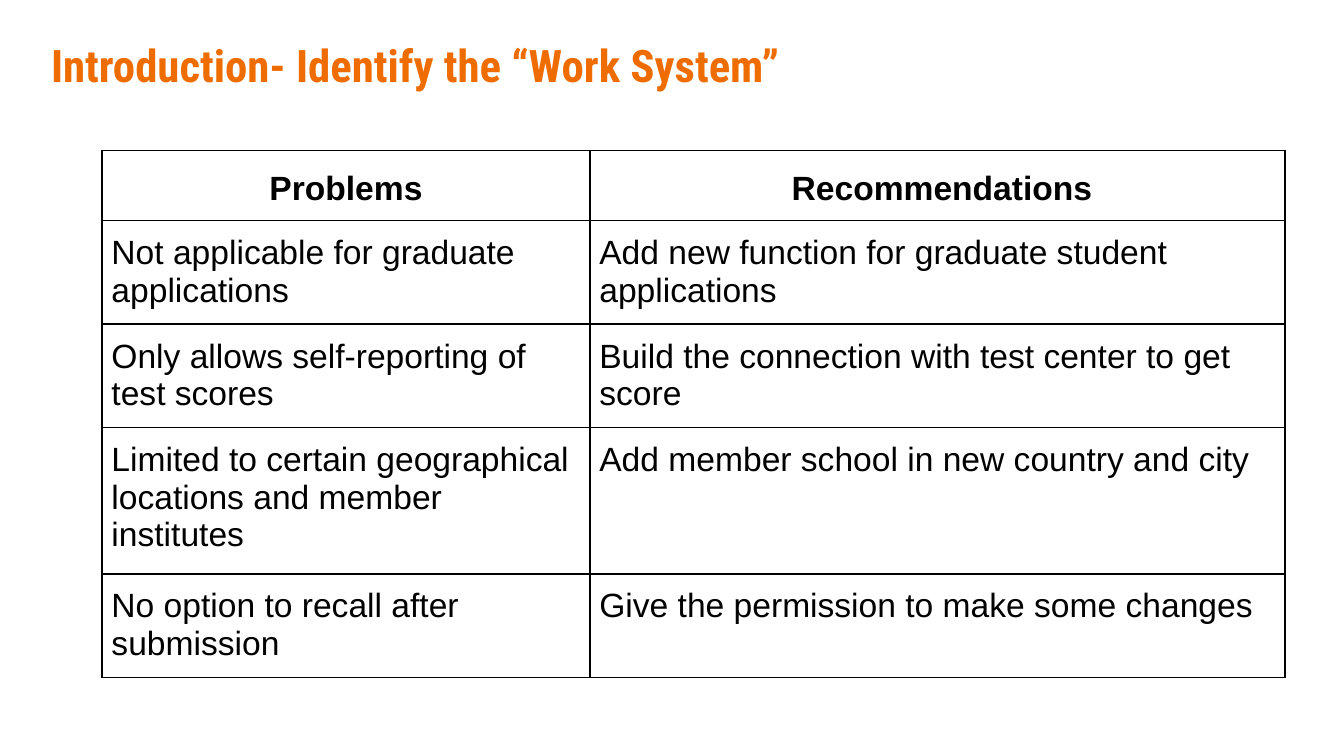
import pptx
import pptx.util
import pptx.dml.color
import pptx.enum.text
import lxml.etree

WIDTH = 10
HEIGHT = WIDTH * 9 / 16
COLUMN_WIDTHS = [3.63, 5.17]
ROW_HEIGHTS = [0.52, 0.77, 0.77, 1.09, 0.77]
ENTRIES = [
    ("Problems", " Recommendations"),
    ("Not applicable for graduate applications",
     "Add new function for graduate student applications"),
    ("Only allows self-reporting of test scores",
     "Build the connection with test center to get score"),
    ("Limited to certain geographical locations and member institutes",
     "Add member school in new country and city"),
    ("No option to recall after submission",
     "Give the permission to make some changes"),
]
ALIGN = pptx.enum.text.PP_ALIGN
ANCHOR = pptx.enum.text.MSO_ANCHOR
INCH = pptx.util.Inches
HEADING_FONT = {"name": "Roboto Condensed", "size": pptx.util.Pt(24), "bold": True}
HEADER_FONT = {"name": "Arial", "size": pptx.util.Pt(18), "bold": True}
ENTRY_FONT = {**HEADER_FONT, "bold": False}
HEADER_PARAGRAPH = {"alignment": ALIGN.CENTER, "line_spacing": 1.15}
ENTRY_PARAGRAPH = {"alignment": ALIGN.LEFT}
CELL_LAYOUT = {
    "margin_left": INCH(0.07), "margin_right": INCH(0.07),
    "margin_top": INCH(0.1), "margin_bottom": INCH(0.1),
    "vertical_anchor": ANCHOR.TOP,
}
HEADING_LAYOUT = {
    **CELL_LAYOUT,
    "margin_left": INCH(0.1), "margin_right": INCH(0.1),
    "word_wrap": True,
    "auto_size": pptx.enum.text.MSO_AUTO_SIZE.NONE,
}


def color(hex_value):
    return pptx.dml.color.RGBColor.from_string(hex_value)


def apply_format(target, values):
    for attribute, value in values.items():
        setattr(target, attribute, value)


def write_text(frame, wording, paragraph_format, font_format, hex_value):
    paragraph = frame.paragraphs[0]
    apply_format(paragraph, paragraph_format)
    run = paragraph.add_run()
    run.text = wording
    apply_format(run.font, font_format)
    run.font.color.rgb = color(hex_value)


def add_borders(cell, hex_value, points):
    properties = cell._tc.get_or_add_tcPr()
    namespace = "{" + properties.nsmap["a"] + "}"
    for position, side in enumerate(("lnL", "lnR", "lnT", "lnB")):
        border = lxml.etree.Element(namespace + side, w=str(pptx.util.Pt(points)))
        fill = lxml.etree.SubElement(border, namespace + "solidFill")
        lxml.etree.SubElement(fill, namespace + "srgbClr", val=hex_value)
        properties.insert(position, border)


def add_heading(slide, wording):
    heading = slide.shapes.title
    apply_format(heading, {
        "left": INCH(0.28), "top": INCH(0.18),
        "width": INCH(9.32), "height": INCH(0.77),
    })
    apply_format(heading.text_frame, HEADING_LAYOUT)
    write_text(heading.text_frame, wording, ENTRY_PARAGRAPH, HEADING_FONT, "EF6C00")


def fill_cell(cell, wording, is_header):
    apply_format(cell, CELL_LAYOUT)
    cell.fill.background()
    add_borders(cell, "000000", 1)
    paragraph_format = HEADER_PARAGRAPH if is_header else ENTRY_PARAGRAPH
    font_format = HEADER_FONT if is_header else ENTRY_FONT
    write_text(cell.text_frame, wording, paragraph_format, font_format, "000000")


def add_comparison(slide):
    comparison = slide.shapes.add_table(
        len(ROW_HEIGHTS), len(COLUMN_WIDTHS), INCH(0.76), INCH(1.12),
        INCH(sum(COLUMN_WIDTHS)), INCH(sum(ROW_HEIGHTS))).table
    apply_format(comparison, {"first_row": False, "horz_banding": False})
    for column, width in zip(comparison.columns, COLUMN_WIDTHS):
        column.width = INCH(width)
    for index, (row, height) in enumerate(zip(comparison.rows, ROW_HEIGHTS)):
        row.height = INCH(height)
        for cell, wording in zip(row.cells, ENTRIES[index]):
            fill_cell(cell, wording, index == 0)


def main():
    deck = pptx.Presentation()
    apply_format(deck, {"slide_width": INCH(WIDTH), "slide_height": INCH(HEIGHT)})
    slide = deck.slides.add_slide(deck.slide_layouts.get_by_name("Title Only"))
    add_heading(slide, "Introduction- Identify the “Work System”")
    add_comparison(slide)
    deck.save("out.pptx")


if __name__ == "__main__":
    main()
